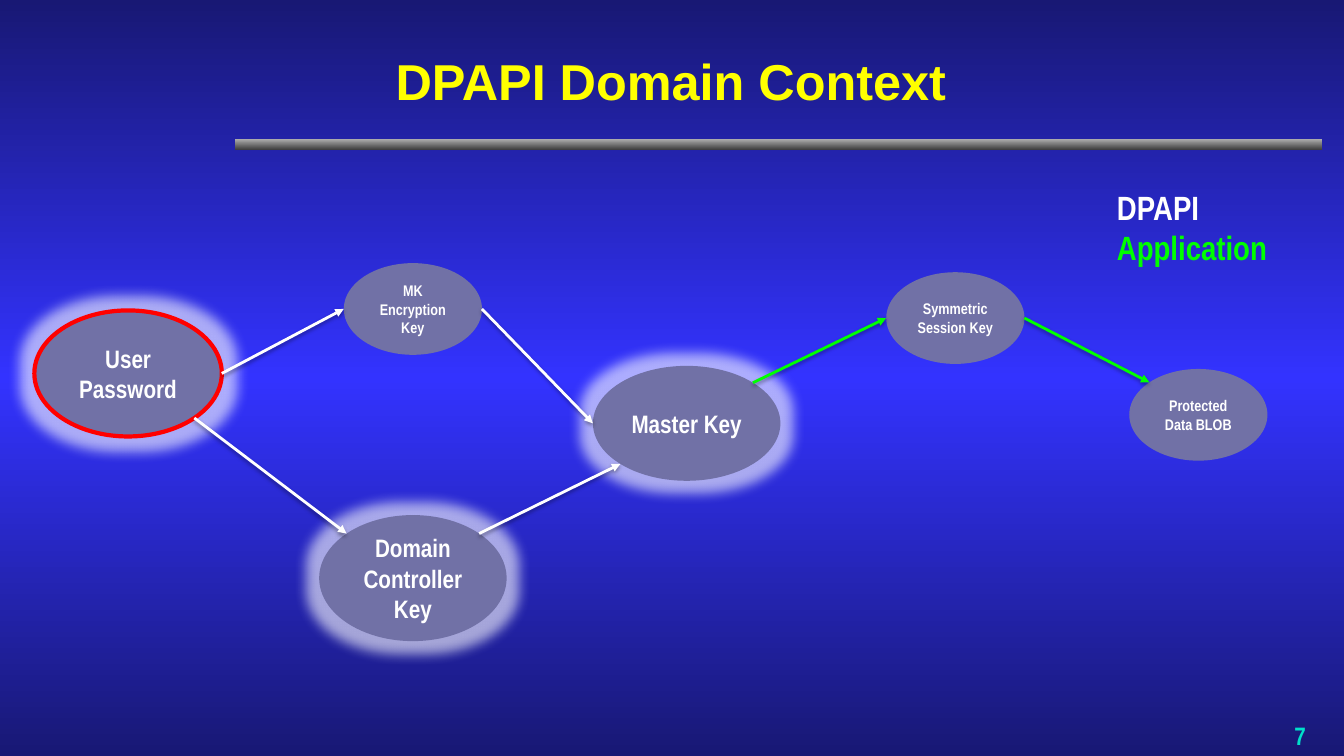
from dataclasses import dataclass
from math import cos, radians, sin

from lxml.etree import SubElement
from pptx import Presentation
from pptx.dml.color import RGBColor
from pptx.enum.shapes import MSO_CONNECTOR, MSO_SHAPE
from pptx.enum.text import MSO_ANCHOR, PP_ALIGN
from pptx.oxml.ns import qn
from pptx.util import Inches, Pt

COLORS = {
    "edge": "181874", "middle": "3333FF", "bar_top": "AEAEAE", "bar_bottom": "404040",
    "title": "FFFF00", "number": "00DFCA", "node": "7171A6", "ring": "FF0000",
    "dpapi": "FFFFFF", "application": "00FF00", "glow": "FFFFFF", "shadow": "000000",
}
BIG, WIDE, SMALL = (13.95, 16.67), (13.95, 15.2), (10.28, 12.13)
# name: (label, centre in percent, size in percent, font size, glowing)
NODES = {
    "password": ("User Password", (9.53, 49.4), BIG, 18, True),
    "encryption": ("MK Encryption Key", (30.72, 40.87), SMALL, 11, False),
    "master": ("Master Key", (51.09, 56), WIDE, 18, True),
    "session": ("Symmetric Session Key", (71.08, 42.07), SMALL, 11, False),
    "blob": ("Protected Data BLOB", (89.16, 54.87), SMALL, 11, False),
    "controller": ("Domain Controller Key", (30.72, 76.47), BIG, 18, True),
}
# (start node, angle on its rim, end node, angle on its rim, colour)
ARROWS = [
    ("password", 0, "encryption", 180, "dpapi"),
    ("encryption", 0, "master", 180, "dpapi"),
    ("session", 0, "blob", 225, "application"),
    ("master", 315, "session", 180, "application"),
    ("password", 45, "controller", 225, "dpapi"),
    ("controller", 315, "master", 135, "dpapi"),
]


@dataclass
class Box:
    left: int
    top: int
    width: int
    height: int

    def point(self, x, y):
        """Turn percentages of this box into a position on the slide."""
        return (round(self.left + self.width * x / 100),
                round(self.top + self.height * y / 100))

    def area(self, x, y, width, height):
        """Left, top, width and height of an area given in percent."""
        return (*self.point(x, y), round(self.width * width / 100),
                round(self.height * height / 100))


def rgb(name):
    return RGBColor.from_string(COLORS[name])


def paint_gradient(owner, fill, stops):
    """Fill from top to bottom with (percent, colour name) stops."""
    fill.gradient()
    fill.gradient_angle = 270
    stop_list = owner._element.find(".//" + qn("a:gsLst"))
    for stop in list(stop_list):
        stop_list.remove(stop)
    for percent, color in stops:
        stop = SubElement(stop_list, qn("a:gs"), pos=str(percent * 1000))
        SubElement(stop, qn("a:srgbClr"), val=COLORS[color])


def add_effect(shape, kind, color, alpha, **settings):
    properties = shape._element.spPr
    effects = properties.find(qn("a:effectLst"))
    if effects is None:
        effects = SubElement(properties, qn("a:effectLst"))
    effect = SubElement(effects, qn("a:" + kind),
                        {name: str(value) for name, value in settings.items()})
    tint = SubElement(effect, qn("a:srgbClr"), val=COLORS[color])
    SubElement(tint, qn("a:alpha"), val=str(alpha * 1000))


def write(shape, lines, size, font="Arial Narrow", align=PP_ALIGN.LEFT,
          anchor=MSO_ANCHOR.TOP, spacing=None, wrap=True):
    """Put (text, colour name) lines into a shape, one paragraph each."""
    frame = shape.text_frame
    frame.word_wrap = wrap
    frame.vertical_anchor = anchor
    for index, (text, color) in enumerate(lines):
        para = frame.add_paragraph() if index else frame.paragraphs[0]
        para.alignment = align
        para.line_spacing = spacing
        span = para.add_run()
        span.text = text
        span.font.name = font
        span.font.size = Pt(size)
        span.font.bold = True
        span.font.color.rgb = rgb(color)


def add_header(page, box):
    bar = page.shapes.add_shape(MSO_SHAPE.RECTANGLE, *box.area(17.48, 18.4, 80.87, 1.4))
    bar.shadow.inherit = False
    bar.line.fill.background()
    paint_gradient(bar, bar.fill, [(0, "bar_top"), (98, "bar_bottom")])
    title = page.shapes.add_textbox(*box.area(17.48, 2.93, 64.89, 16.67))
    write(title, [("DPAPI Domain Context", "title")], 36, font="Arial",
          align=PP_ALIGN.CENTER, anchor=MSO_ANCHOR.MIDDLE, spacing=Pt(37))


def add_legend(page, box):
    legend = page.shapes.add_textbox(*box.area(82.37, 24, 14.85, 12.13))
    write(legend, [("DPAPI", "dpapi"), ("Application", "application")], 24)


def add_page_number(page, box):
    number = page.shapes.add_textbox(*box.area(94.52, 95.33, 3.38, 4.53))
    write(number, [("7", "number")], 18, align=PP_ALIGN.RIGHT,
          anchor=MSO_ANCHOR.MIDDLE, spacing=0.8, wrap=False)


def add_node(page, box, name):
    label, (x, y), (width, height), size, glowing = NODES[name]
    node = page.shapes.add_shape(
        MSO_SHAPE.OVAL, *box.area(x - width / 2, y - height / 2, width, height))
    node.shadow.inherit = False
    node.fill.solid()
    node.fill.fore_color.rgb = rgb("node")
    if name == "password":
        node.line.color.rgb = rgb("ring")
        node.line.width = Pt(3)
    else:
        node.line.fill.background()
    if glowing:
        add_effect(node, "glow", "glow", 60, rad=Pt(18))
    write(node, [(label, "dpapi")], size, align=PP_ALIGN.CENTER, anchor=MSO_ANCHOR.MIDDLE)


def rim_point(box, name, angle):
    """Point on a node's outline, clockwise from its right end."""
    _, (x, y), (width, height), _, _ = NODES[name]
    turn = radians(angle)
    return box.point(x + width / 2 * cos(turn), y + height / 2 * sin(turn))


def add_arrow(page, box, start, start_angle, end, end_angle, color):
    arrow = page.shapes.add_connector(
        MSO_CONNECTOR.STRAIGHT, *rim_point(box, start, start_angle),
        *rim_point(box, end, end_angle))
    arrow.line.color.rgb = rgb(color)
    arrow.line.width = Pt(2)
    SubElement(arrow.line._get_or_add_ln(), qn("a:tailEnd"), type="triangle")
    add_effect(arrow, "outerShdw", "shadow", 38, blurRad=Pt(3.1), dist=Pt(1.6),
               dir=90 * 60000, rotWithShape=0)


def add_diagram(page, box):
    for name in NODES:
        add_node(page, box, name)
    for arrow in ARROWS:
        add_arrow(page, box, *arrow)


def main():
    deck = Presentation()
    deck.slide_width, deck.slide_height = Inches(13.33), Inches(7.5)
    page = deck.slides.add_slide(deck.slide_layouts[6])
    paint_gradient(page, page.background.fill,
                   [(0, "edge"), (50, "middle"), (100, "edge")])
    box = Box(0, 0, deck.slide_width, deck.slide_height)
    for add_region in (add_header, add_diagram, add_legend, add_page_number):
        add_region(page, box)
    deck.save("out.pptx")


if __name__ == "__main__":
    main()
